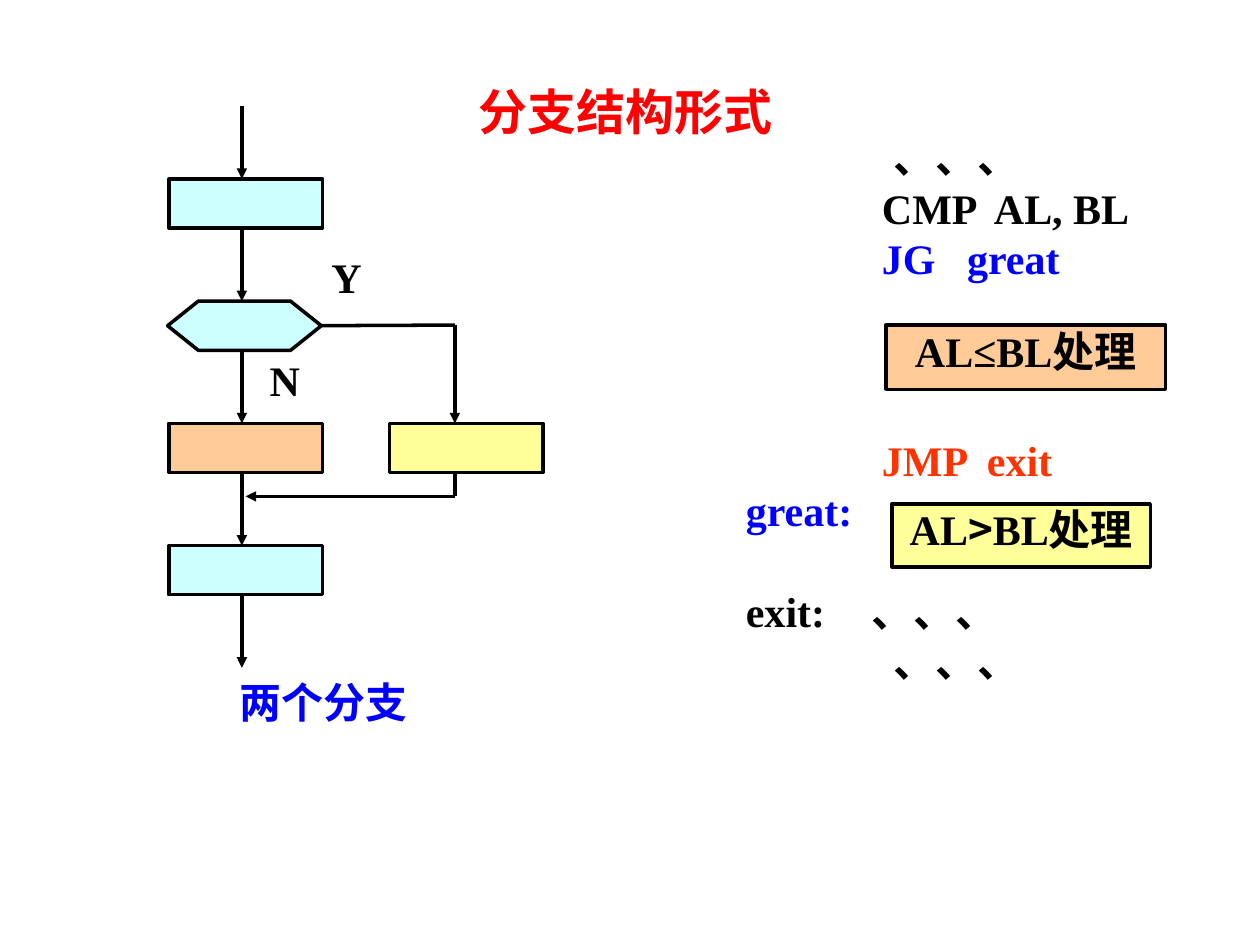
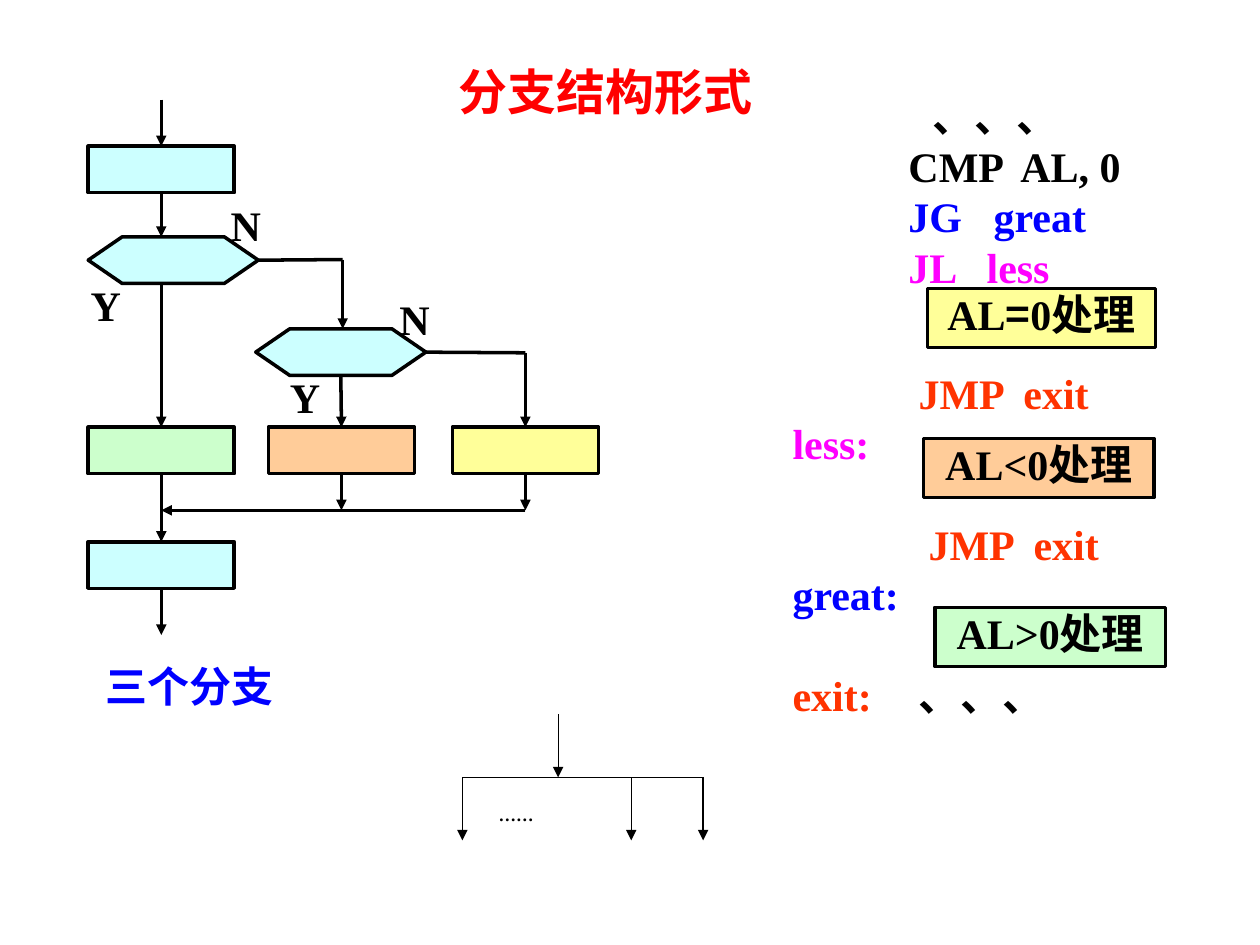
import pptx
import pptx.dml.color
import pptx.enum.shapes
import pptx.enum.text
import pptx.oxml
import pptx.oxml.ns
import pptx.util

RGBColor = pptx.dml.color.RGBColor
SHAPE = pptx.enum.shapes.MSO_SHAPE
ALIGN = pptx.enum.text.PP_ALIGN
Pt = pptx.util.Pt

BLACK = RGBColor(0x00, 0x00, 0x00)
RED = RGBColor(0xFF, 0x00, 0x00)
BLUE = RGBColor(0x00, 0x00, 0xFF)
ORANGE = RGBColor(0xFF, 0x33, 0x00)
MAGENTA = RGBColor(0xFF, 0x00, 0xFF)
CYAN_FILL = RGBColor(0xCC, 0xFF, 0xFF)
PEACH_FILL = RGBColor(0xFF, 0xCC, 0x99)
YELLOW_FILL = RGBColor(0xFF, 0xFF, 0x99)
GREEN_FILL = RGBColor(0xCC, 0xFF, 0xCC)

EMU_PER_PX = 9144  # 100 px to the inch
LATIN, CJK = "Times New Roman", "Noto Sans CJK SC"
CODE_LINE = 28.8
FIRST_CODE_LINE = 50
DOTS = "、、、"
DOTS_TAB = 132


def px(n):
    return pptx.util.Emu(round(n * EMU_PER_PX))


def add_xml(parent, tag, **attrs):
    el = parent.makeelement(pptx.oxml.ns.qn(tag), attrs)
    parent.append(el)
    return el


class FlowSlide:
    """A slide with a title, a flow chart and an assembly listing."""
    text_format = {"name": LATIN, "size": Pt(24), "bold": True}

    def __init__(self, prs):
        self.slide = prs.slides.add_slide(prs.slide_layouts[5])
        self.nodes = []

    def fill_frame(self, tf, inset=(0, 0)):
        x, y = map(px, inset)
        frame_format = {
            "margin_left": x, "margin_right": x, "margin_top": y, "margin_bottom": y,
            "word_wrap": True,
            "auto_size": pptx.enum.text.MSO_AUTO_SIZE.NONE,
            "vertical_anchor": pptx.enum.text.MSO_ANCHOR.TOP,
        }
        for key, value in frame_format.items():
            setattr(tf, key, value)
        return tf.paragraphs[0]

    def run(self, p, text, color=BLACK, **changes):
        r = p.add_run()
        r.text = text
        for key, value in {**self.text_format, **changes}.items():
            setattr(r.font, key, value)
        r.font.color.rgb = color
        add_xml(r.font._element, "a:ea", typeface=CJK)

    def title(self, text, x, y):
        sp = self.slide.shapes.title
        sp.left, sp.top, sp.width, sp.height = map(px, (x, y, 433, 57))
        p = self.fill_frame(sp.text_frame, (10, 5))
        p.alignment = ALIGN.CENTER
        self.run(p, text, RED, size=Pt(28))

    def label(self, text, x, y, w=54, h=47, color=BLACK, inset=(0, 0), **changes):
        sp = self.slide.shapes.add_textbox(*map(px, (x, y, w, h)))
        self.run(self.fill_frame(sp.text_frame, inset), text, color, **changes)

    def node(self, x, y, w, h, fill, kind=SHAPE.RECTANGLE, runs=()):
        """runs holds (text, font name) pairs."""
        sp = self.slide.shapes.add_shape(kind, *map(px, (x, y, w, h)))
        sp.shadow.inherit = False
        sp.fill.solid()
        sp.fill.fore_color.rgb = fill
        sp.line.color.rgb = BLACK
        sp.line.width = Pt(2)
        if runs:
            p = self.fill_frame(sp.text_frame)
            p.alignment = ALIGN.CENTER
            for text, font in runs:
                self.run(p, text, name=font)
        sides = [(x + w / 2, y), (x, y + h / 2), (x + w / 2, y + h), (x + w, y + h / 2)]
        self.nodes.append((sp, sides))

    def join(self, connect, x, y):
        """Connect an end to the node whose side has its middle at x, y."""
        for sp, sides in self.nodes:
            for site, (sx, sy) in enumerate(sides):
                if abs(sx - x) <= 1 and abs(sy - y) <= 1:
                    connect(sp, site)
                    return

    def line(self, x1, y1, x2, y2, arrow=True, width=2):
        c = self.slide.shapes.add_connector(
            pptx.enum.shapes.MSO_CONNECTOR.STRAIGHT, *map(px, (x1, y1, x2, y2)))
        self.join(c.begin_connect, x1, y1)
        self.join(c.end_connect, x2, y2)
        c.line.color.rgb = BLACK
        c.line.width = Pt(width)
        if arrow:
            add_xml(c.line._get_or_add_ln(), "a:tailEnd", type="triangle")
        add_xml(c._element.spPr, "a:effectLst")

    def code(self, x, y, w, h, lines):
        """Each line is (indent in px, lines skipped before it, (text, colour) runs)."""
        tf = self.slide.shapes.add_textbox(*map(px, (x, y, w, h))).text_frame
        self.fill_frame(tf)
        for i, (indent, skipped, runs) in enumerate(lines):
            p = tf.add_paragraph() if i else tf.paragraphs[0]
            pPr = p._p.get_or_add_pPr()
            pPr.set("marL", str(px(indent)))
            pPr.set("indent", "0")
            if "\t" in runs[0][0]:
                tabs = add_xml(pPr, "a:tabLst")
                add_xml(tabs, "a:tab", pos=str(px(DOTS_TAB)), algn="l")
            p.line_spacing = Pt(CODE_LINE if i else FIRST_CODE_LINE)
            if skipped:
                p.space_before = Pt(skipped * CODE_LINE)
            for text, color in runs:
                self.run(p, text, color)


def two_branches(prs):
    s = FlowSlide(prs)
    s.title("分支结构形式", 280, 60)
    w, h, left, stem, branch = 122, 39, 134, 192, 361
    tops = [142 + 97 * i for i in range(4)]
    s.node(left, tops[0], w, h, CYAN_FILL)
    s.node(left - 1, tops[1], w, h, CYAN_FILL, SHAPE.FLOWCHART_PREPARATION)
    s.node(left, tops[2], w, h, PEACH_FILL, SHAPE.FLOWCHART_PROCESS)
    s.node(309, tops[2], w, h, YELLOW_FILL)
    s.node(left, tops[3], w, h, CYAN_FILL)
    for top in tops + [530]:
        s.line(stem, top - 58, stem, top)
    s.line(256, 258, branch, 258, arrow=False)
    s.line(branch, 258, branch, tops[2])
    s.line(branch, tops[2] + h, branch, 394, arrow=False)
    s.line(branch, 394, 195, 394)
    s.label("Y", 263, 200)
    s.label("N", 214, 281)
    s.label("两个分支", 190, 537, 222, 59, BLUE)

    s.code(592, 75, 367, 492, [
        (117, 0, [(DOTS, BLACK)]),
        (108, 0, [("CMP  AL, BL", BLACK)]),
        (108, 0, [("JG   great", BLUE)]),
        (108, 3, [("JMP  exit", ORANGE)]),
        (0, 0, [("great:", BLUE)]),
        (0, 1, [("exit:\t" + DOTS, BLACK)]),
        (117, 0, [(DOTS, BLACK)]),
    ])
    s.node(703, 258, 222, 51, PEACH_FILL, runs=[("AL≤BL处理", LATIN)])
    s.node(708, 400, 205, 50, YELLOW_FILL,
           runs=[("AL", LATIN), (">", CJK), ("BL处理", LATIN)])


def three_branches(prs):
    s = FlowSlide(prs)
    s.title("分支结构形式", 264, 44)
    w, h, left, stem, middle, right = 116, 37, 70, 128, 271, 417
    for x, y, fill in [(left, 116, CYAN_FILL), (left, 339, GREEN_FILL),
                       (213, 339, PEACH_FILL), (359, 339, YELLOW_FILL),
                       (left, 430, CYAN_FILL)]:
        s.node(x, y, w, h, fill)
    for x, y in [(left, 188), (203, 261)]:
        s.node(x, y, 135, h, CYAN_FILL, SHAPE.FLOWCHART_PREPARATION)
    for y1, y2 in [(79, 116), (153, 188), (225, 339), (376, 430), (467, 504)]:
        s.line(stem, y1, stem, y2)
    s.line(205, 206, 272, 206, arrow=False)
    s.line(272, 206, 272, 261)
    s.line(338, 280, right, 280, arrow=False)
    s.line(right, 280, right, 339)
    s.line(middle, 298, middle, 339)
    for x in (middle, right):
        s.line(x, 376, x, 405)
    s.line(right, 405, stem, 405)
    for text, x, y in [("Y", 72, 222), ("Y", 230, 295), ("N", 183, 158), ("N", 317, 233)]:
        s.label(text, x, y)
    s.label("三个分支", 84, 524, 175, 69, BLUE)

    s.code(629, 42, 404, 575, [
        (111, 0, [(DOTS, BLACK)]),
        (92, 0, [("CMP  AL, 0", BLACK)]),
        (92, 0, [("JG   great", BLUE)]),
        (92, 0, [("JL   less", MAGENTA)]),
        (100, 1.5, [("JMP  exit", ORANGE)]),
        (0, 0, [("less:", MAGENTA)]),
        (108, 1, [("JMP  exit", ORANGE)]),
        (0, 0, [("great:", BLUE)]),
        (0, 1, [("exit:\t", ORANGE), (DOTS, BLACK)]),
    ])
    s.node(736, 229, 181, 47, YELLOW_FILL,
           runs=[("AL", LATIN), ("=", CJK), ("0处理", LATIN)])
    s.node(742, 482, 183, 47, GREEN_FILL, runs=[("AL>0处理", LATIN)])
    s.node(733, 348, 183, 47, PEACH_FILL, runs=[("AL<0处理", LATIN)])

    fork_y, drop = 617, 50
    s.line(443, fork_y - drop, 443, fork_y, width=0.75)
    s.line(367, fork_y, 558, fork_y, arrow=False, width=0.75)
    for x in (367, 501, 558):
        s.line(x, fork_y, x, fork_y + drop, width=0.75)
    s.label("……", 386, 633, 96, 67, inset=(10, 5), size=Pt(10))


def main():
    prs = pptx.Presentation()
    prs.slide_width, prs.slide_height = px(1000), px(750)
    two_branches(prs)
    three_branches(prs)
    prs.save("out.pptx")


if __name__ == "__main__":
    main()
